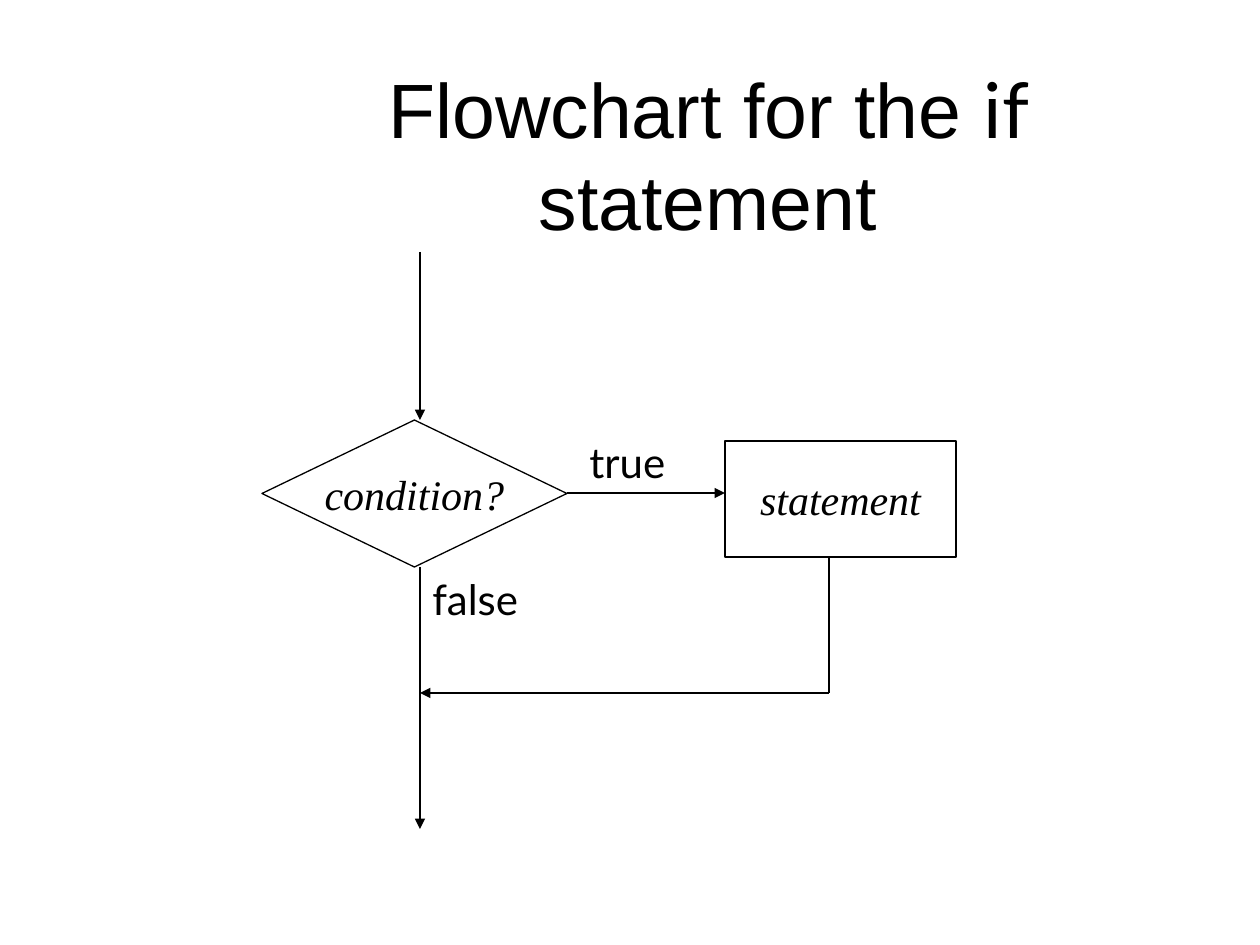
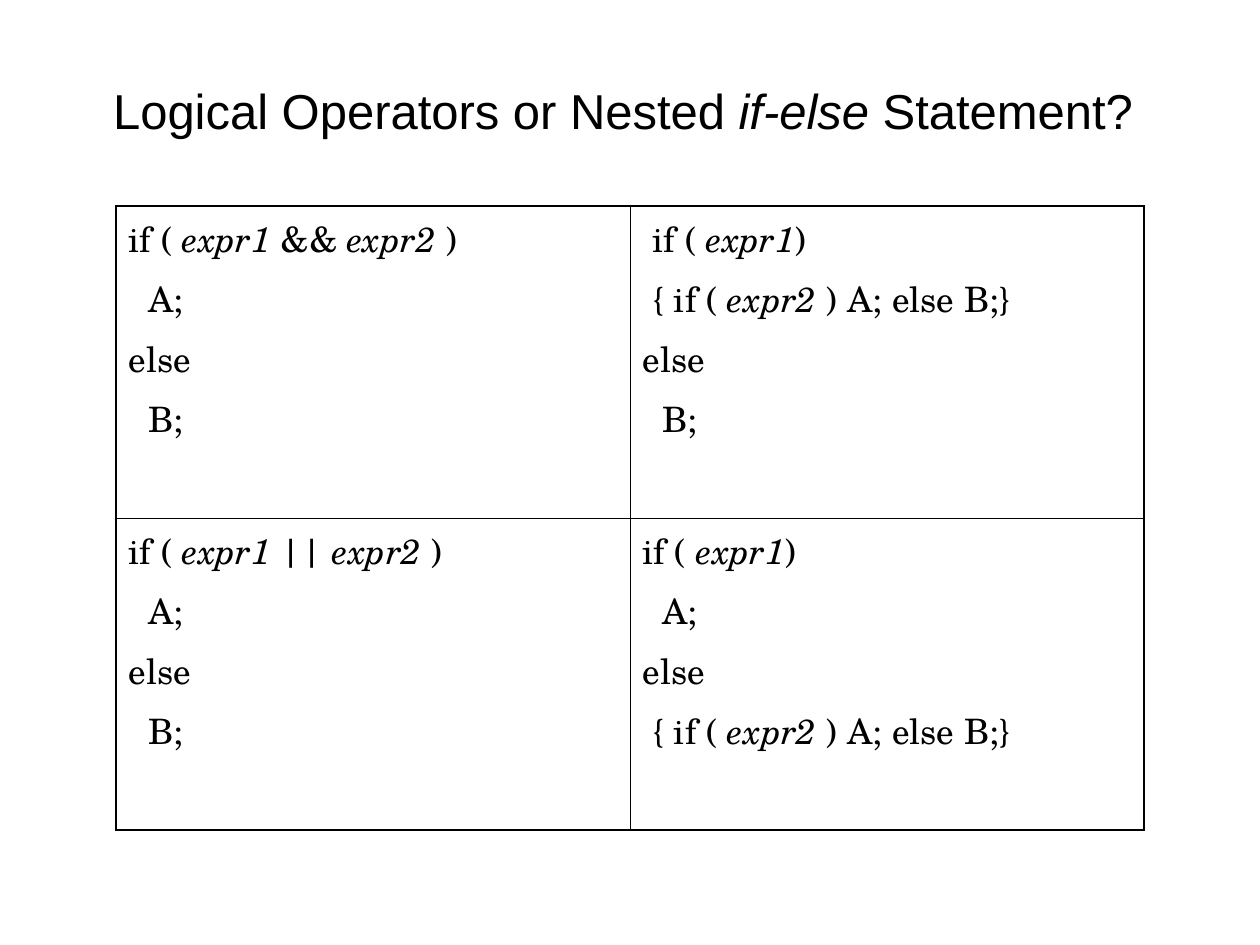
from lxml import etree
from pptx import Presentation
from pptx.dml.color import RGBColor
from pptx.enum.shapes import MSO_CONNECTOR, MSO_SHAPE
from pptx.enum.text import MSO_ANCHOR, MSO_AUTO_SIZE, PP_ALIGN
from pptx.oxml.ns import qn
from pptx.util import Pt

PIXEL = 914400 // 126
BLACK = "000000"
TITLE_FONT = "Arial"
LABEL_FONT = "Lato"
FLOW_FONT = "Times New Roman"
CODE_FONT = "TeX Gyre Schola"
LINE_WIDTH = 0.74
OUTER_BORDER, INNER_BORDER = 1.08, 0.45
LEFT, CENTER = PP_ALIGN.LEFT, PP_ALIGN.CENTER
BOTTOM, MIDDLE = MSO_ANCHOR.BOTTOM, MSO_ANCHOR.MIDDLE
STRAIGHT = MSO_CONNECTOR.STRAIGHT
DECISION = MSO_SHAPE.FLOWCHART_DECISION
PROCESS = MSO_SHAPE.FLOWCHART_PROCESS


def color(hex_string):
    """Turn a hex string into a colour."""
    return RGBColor.from_string(hex_string)


def write(paragraph, text, font, size, align=LEFT, before=0):
    """Fill a paragraph; the parts between asterisks become italic."""
    paragraph.alignment = align
    paragraph.space_before = Pt(before)
    for index, part in enumerate(text.split("*")):
        if part:
            run = paragraph.add_run()
            run.text = part
            run.font.name = font
            run.font.size = Pt(size)
            run.font.italic = index % 2 == 1
            run.font.color.rgb = color(BLACK)


presentation = Presentation()
presentation.slide_width = 1260 * PIXEL
presentation.slide_height = 945 * PIXEL

# Titles of both slides
titles = [
    ("Flowchart for the *if *statement", 44, (198, 49, 1020, 203)),
    ("Logical Operators or Nested *if-else* Statement?", 28, (63, 49, 1120, 97)),
]
slides = []
title_paragraphs = []
for text, size, box in titles:
    slide = presentation.slides.add_slide(presentation.slide_layouts[6])
    title = slide.shapes.add_textbox(*[value * PIXEL for value in box])
    frame = title.text_frame
    frame.word_wrap = True
    frame.vertical_anchor = BOTTOM
    frame.margin_left = frame.margin_right = 16 * PIXEL
    write(frame.paragraphs[0], text, TITLE_FONT, size, CENTER)
    slides.append(slide)
    title_paragraphs.append(frame.paragraphs[0])
flowchart_slide, table_slide = slides

keyword = title_paragraphs[0].runs[1]
keyword.font.name = LABEL_FONT
keyword.font.italic = False

# Flowchart nodes
nodes = [
    (DECISION, "*condition?*", (262, 420, 305, 147)),
    (PROCESS, "*statement*", (725, 441, 231, 116)),
]
for kind, text, box in nodes:
    node = flowchart_slide.shapes.add_shape(kind, *[value * PIXEL for value in box])
    node.shadow.inherit = False
    node.fill.background()
    node.line.color.rgb = color(BLACK)
    node.line.width = Pt(LINE_WIDTH)
    node.text_frame.word_wrap = False
    node.text_frame.vertical_anchor = MIDDLE
    write(node.text_frame.paragraphs[0], text, FLOW_FONT, 24, CENTER)

# Flow lines: start, end, arrowhead at the end
flow_lines = [
    ((567, 493), (725, 493), True),
    ((420, 252), (420, 420), True),
    ((829, 693), (420, 693), True),
    ((829, 557), (829, 693), False),
    ((420, 567), (420, 829), True),
]
for start, end, has_arrow in flow_lines:
    points = [value * PIXEL for value in start + end]
    connector = flowchart_slide.shapes.add_connector(STRAIGHT, *points)
    connector.line.color.rgb = color(BLACK)
    connector.line.width = Pt(LINE_WIDTH)
    if has_arrow:
        line = connector.line._get_or_add_ln()
        etree.SubElement(line, qn("a:tailEnd"), type="triangle")
    etree.SubElement(connector._element.spPr, qn("a:effectLst"))

# Branch labels
labels = [("true", (577, 430, 116, 63)), ("false", (420, 567, 116, 113))]
for text, box in labels:
    label = flowchart_slide.shapes.add_textbox(*[value * PIXEL for value in box])
    label.text_frame.word_wrap = True
    label.text_frame.auto_size = MSO_AUTO_SIZE.SHAPE_TO_FIT_TEXT
    write(label.text_frame.paragraphs[0], text, LABEL_FONT, 24, before=15)

# Code table: each line is an indent in pixels and its text
nested = (10, "{ if ( *expr2* ) A; else B;}")
branch_a, branch_else, branch_b = (20, "A;"), (0, "else"), (20, "B;")
code_rows = [
    [
        [(0, "if ( *expr1* && *expr2* )"), branch_a, branch_else, branch_b],
        [(10, "if ( *expr1*)"), nested, branch_else, branch_b],
    ],
    [
        [(0, "if ( *expr1* || *expr2* )"), branch_a, branch_else, branch_b],
        [(0, "if ( *expr1*)"), branch_a, branch_else, nested],
    ],
]
table_box = [value * PIXEL for value in (116, 206, 1028, 624)]
table = table_slide.shapes.add_table(2, 2, *table_box).table
table.first_row = False
table.horz_banding = False
for row_index, row in enumerate(code_rows):
    for column_index, code_lines in enumerate(row):
        cell = table.cell(row_index, column_index)
        outer_sides = ("L" if column_index == 0 else "R", "T" if row_index == 0 else "B")
        properties = cell._tc.get_or_add_tcPr()
        for side in "LRTB":
            width = OUTER_BORDER if side in outer_sides else INNER_BORDER
            border = etree.SubElement(properties, qn("a:ln" + side), w=str(Pt(width)))
            border_fill = etree.SubElement(border, qn("a:solidFill"))
            etree.SubElement(border_fill, qn("a:srgbClr"), val=BLACK)
        cell.fill.background()
        for line_index, (indent, text) in enumerate(code_lines):
            frame = cell.text_frame
            paragraph = frame.add_paragraph() if line_index else frame.paragraphs[0]
            write(paragraph, text, CODE_FONT, 20, before=5)
            paragraph._p.get_or_add_pPr().set("marL", str(indent * PIXEL))

presentation.save("out.pptx")
